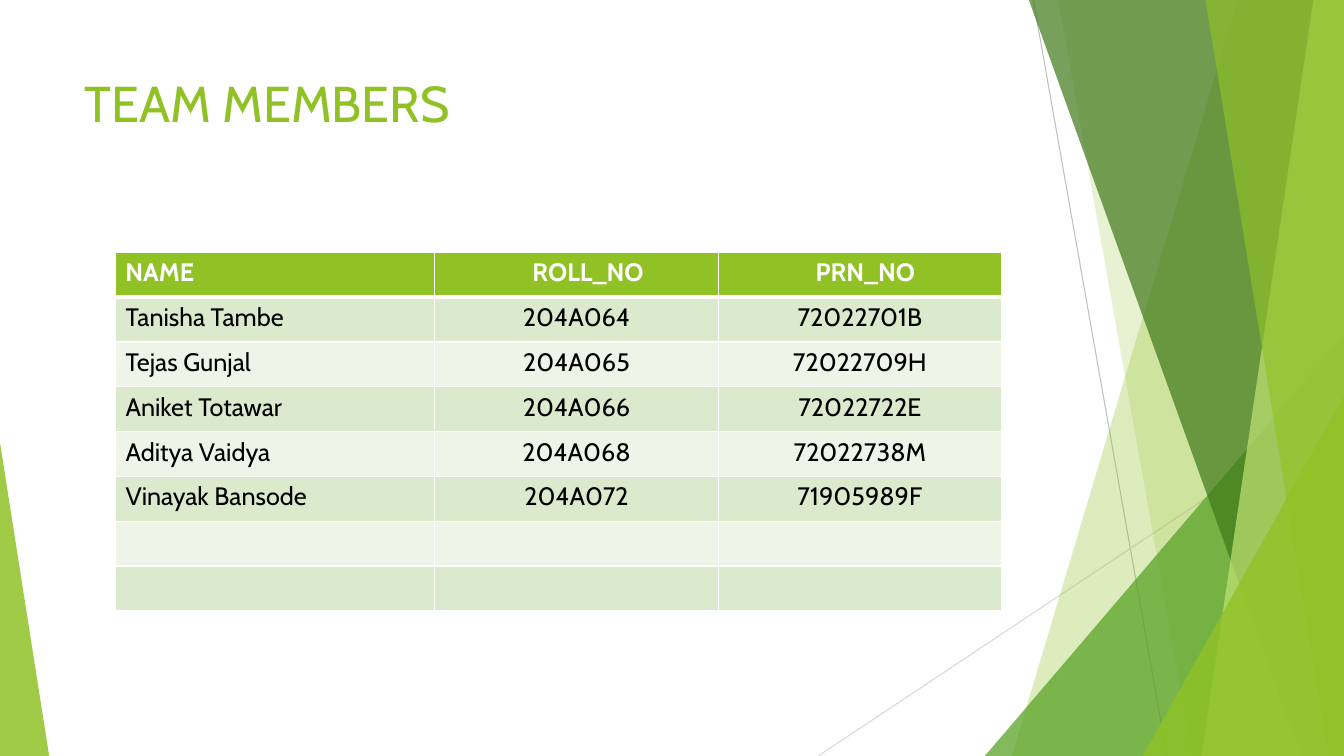
from dataclasses import dataclass

from lxml import etree
from pptx import Presentation
from pptx import util as u
from pptx.dml import color
from pptx.enum import shapes, text
from pptx.oxml import ns


@dataclass(frozen=True)
class Theme:
    font: str = "Cabin"
    title_size: int = 36
    table_size: int = 18
    accent: str = "90C226"
    leaf: str = "54A021"
    forest: str = "3F7819"
    lime: str = "C0E474"
    band_dark: str = "DBE9CD"
    band_light: str = "EEF4E8"
    white: str = "FFFFFF"
    black: str = "000000"
    line_dark: str = "BFBFBF"
    line_light: str = "D9D9D9"


class SlideBuilder:
    def __init__(self, slide, theme):
        self.slide = slide
        self.theme = theme

    def line(self, start, end, line_color):
        points = [u.Cm(value) for value in (*start, *end)]
        connector = self.slide.shapes.add_connector(shapes.MSO_CONNECTOR.STRAIGHT, *points)
        connector.line.color.rgb = color.RGBColor.from_string(line_color)
        connector.line.width = u.Pt(0.75)
        etree.SubElement(connector._element.spPr, ns.qn("a:effectLst"))

    def paint(self, shape, fill_color, opacity):
        shape.shadow.inherit = False
        shape.line.fill.background()
        shape.fill.solid()
        shape.fill.fore_color.rgb = color.RGBColor.from_string(fill_color)
        rgb = shape._element.spPr.find(".//" + ns.qn("a:srgbClr"))
        etree.SubElement(rgb, ns.qn("a:alpha"), val=str(opacity * 1000))

    def ribbon(self, top_x, bottom_x, fill_color, opacity):
        builder = self.slide.shapes.build_freeform(u.Cm(top_x), 0)
        corners = ((WIDTH, 0), (WIDTH, HEIGHT), (bottom_x, HEIGHT))
        builder.add_line_segments([(u.Cm(x), u.Cm(y)) for x, y in corners])
        self.paint(builder.convert_to_shape(), fill_color, opacity)

    def triangle(self, left, top, width, apex, fill_color, opacity):
        shape = self.slide.shapes.add_shape(
            shapes.MSO_SHAPE.ISOSCELES_TRIANGLE,
            u.Cm(left), u.Cm(top), u.Cm(width), u.Cm(HEIGHT - top))
        shape.adjustments[0] = apex
        self.paint(shape, fill_color, opacity)

    def run(self, paragraph, content, size, font_color, bold=False):
        run = paragraph.add_run()
        run.text = content
        run.font.name = self.theme.font
        run.font.size = u.Pt(size)
        run.font.bold = bold
        run.font.color.rgb = color.RGBColor.from_string(font_color)

    def title(self, content, left, top, width, height):
        box = self.slide.shapes.add_textbox(u.Cm(left), u.Cm(top), u.Cm(width), u.Cm(height))
        box.text_frame.word_wrap = True
        self.run(box.text_frame.paragraphs[0], content, self.theme.title_size, self.theme.accent)

    def borders(self, cell, row_index):
        widths = {"L": 1, "R": 1, "T": 3 if row_index == 1 else 1, "B": 3 if row_index == 0 else 1}
        properties = cell._tc.get_or_add_tcPr()
        for side, width in widths.items():
            border = etree.SubElement(properties, ns.qn("a:ln" + side), w=str(u.Pt(width)))
            fill = etree.SubElement(border, ns.qn("a:solidFill"))
            etree.SubElement(fill, ns.qn("a:srgbClr"), val=self.theme.white)

    def table(self, rows, left, top, column_widths, row_height, header_indents):
        theme = self.theme
        frame = self.slide.shapes.add_table(
            len(rows), len(column_widths), u.Cm(left), u.Cm(top),
            u.Cm(sum(column_widths)), u.Cm(row_height * len(rows)))
        table = frame.table
        for column, width in zip(table.columns, column_widths):
            column.width = u.Cm(width)
        for row_index, values in enumerate(rows):
            header = row_index == 0
            band = theme.band_dark if row_index % 2 else theme.band_light
            table.rows[row_index].height = u.Cm(row_height)
            for column_index, value in enumerate(values):
                cell = table.cell(row_index, column_index)
                self.borders(cell, row_index)
                cell.fill.solid()
                cell.fill.fore_color.rgb = color.RGBColor.from_string(theme.accent if header else band)
                if header:
                    cell.margin_left = u.Cm(0.25 + header_indents[column_index])
                paragraph = cell.text_frame.paragraphs[0]
                if column_index:
                    paragraph.alignment = text.PP_ALIGN.CENTER
                if value:
                    font_color = theme.white if header else theme.black
                    self.run(paragraph, value, theme.table_size, font_color, header)


WIDTH, HEIGHT = 33.87, 19.05
MEMBERS = [
    ("NAME", "ROLL_NO", "PRN_NO"),
    ("Tanisha Tambe", "204A064", "72022701B"),
    ("Tejas Gunjal", "204A065", "72022709H"),
    ("Aniket Totawar", "204A066", "72022722E"),
    ("Aditya Vaidya", "204A068", "72022738M"),
    ("Vinayak Bansode", "204A072", "71905989F"),
    ("", "", ""),
    ("", "", ""),
]

presentation = Presentation()
presentation.slide_width, presentation.slide_height = u.Cm(WIDTH), u.Cm(HEIGHT)
theme = Theme()
builder = SlideBuilder(presentation.slides.add_slide(presentation.slide_layouts[6]), theme)

builder.line((26.04, 0), (29.41, HEIGHT), theme.line_dark)
builder.line((WIDTH, 10.24), (20.62, HEIGHT), theme.line_light)
builder.ribbon(31.19, 25.5, theme.accent, 30)
builder.ribbon(26.67, 30.05, theme.accent, 20)
builder.triangle(24.82, 8.46, 9.05, 1, theme.leaf, 72)
builder.ribbon(25.93, 32.79, theme.forest, 70)
builder.ribbon(33.1, 30.28, theme.lime, 70)
builder.ribbon(30.38, 33.48, theme.accent, 65)
builder.triangle(28.8, 9.98, 5.07, 1, theme.accent, 80)
builder.triangle(0, 11.15, 1.24, 0, theme.accent, 85)

builder.title("TEAM MEMBERS", 1.88, 1.7, 23.88, 3.66)
builder.table(MEMBERS, 2.91, 6.36, (8.05, 7.14, 7.14), 1.13, (0, 0.58, 0.28))

presentation.save("out.pptx")
